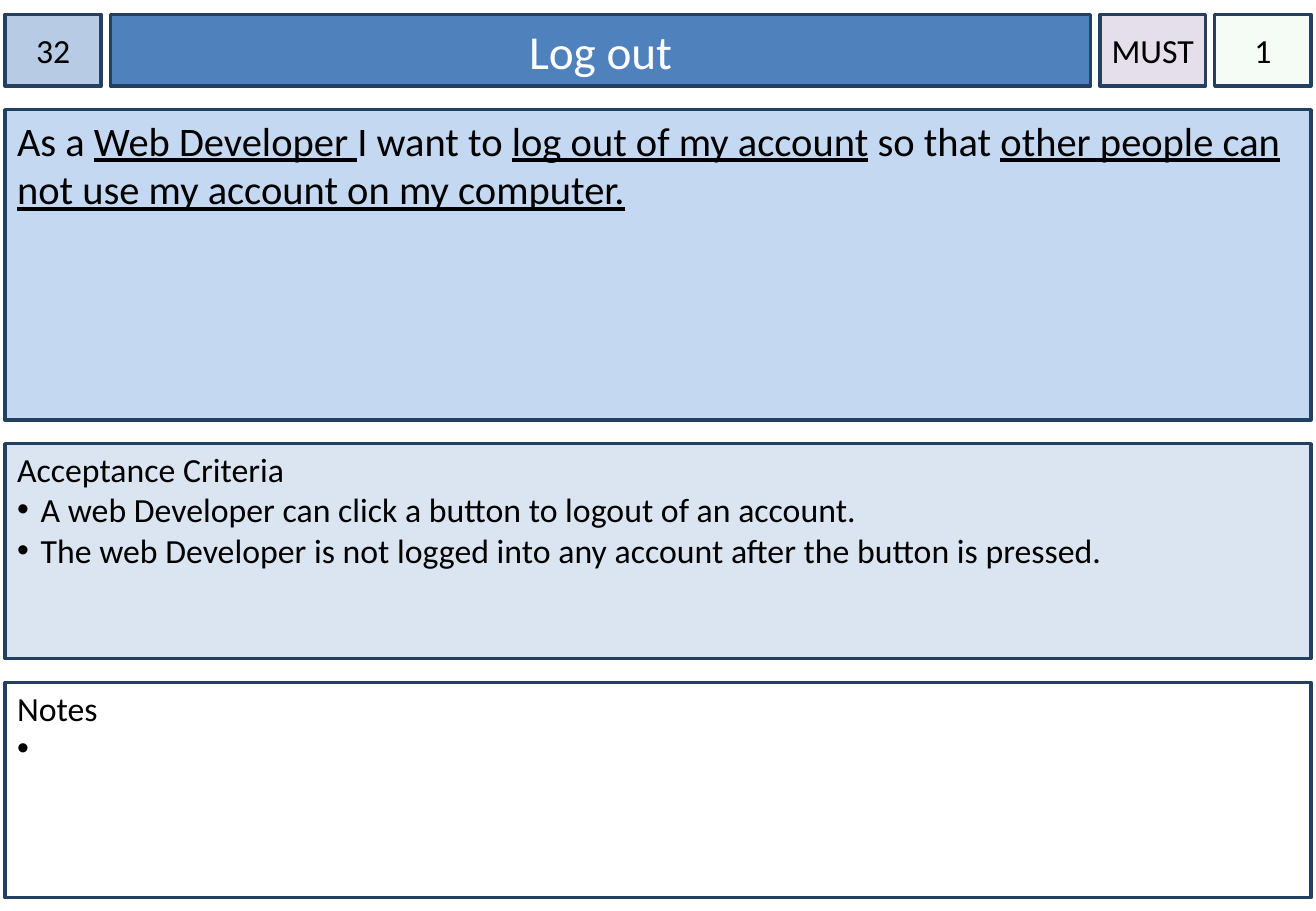
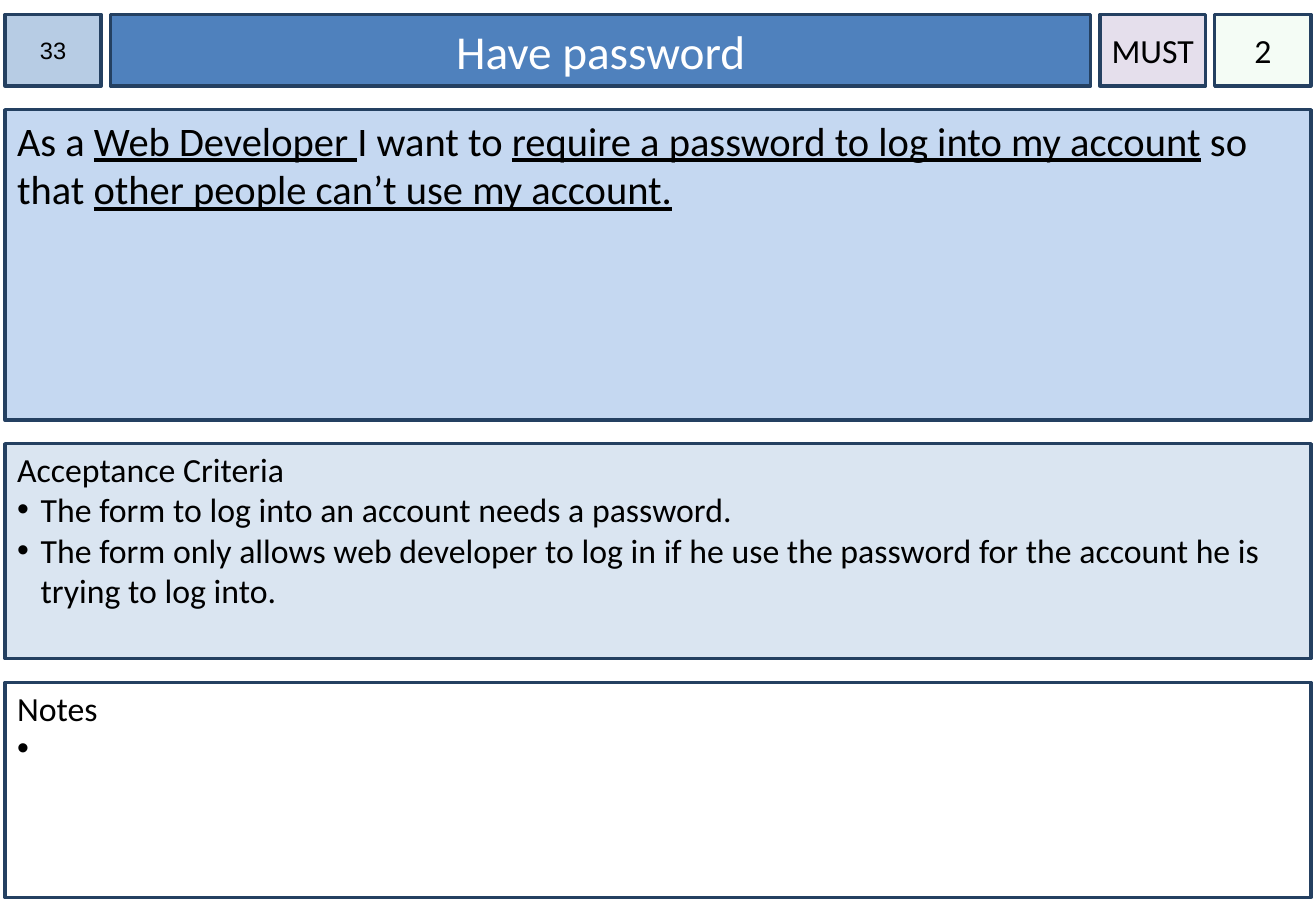
"""Build two user story cards, one per slide."""
from lxml.etree import SubElement
from pptx import Presentation
from pptx.dml.color import RGBColor
from pptx.enum.shapes import MSO_SHAPE
from pptx.enum.text import MSO_ANCHOR, MSO_AUTO_SIZE, PP_ALIGN
from pptx.oxml.ns import qn
from pptx.util import Pt

HUES = {
    "edge": "244061", "ink": "000000", "white": "FFFFFF", "id": "B7CCE4",
    "title": "4F81BD", "story": "C5D8F1", "tests": "DAE5F1",
    "rank": "E5DFEC", "size": "CCF0CD",
}
LEFT, TOP, HEAD = 3, 8.5, 42.5
WIDE, GAP, SPACE = 774, 5.5, 14
COLS = {"id": 57, "title": 581, "rank": 62.5, "size": 57}
ROWS = {"story": 184, "tests": 127.5, "notes": 127.5}
CARDS = [
    {
        "id": ("32", "Calibri", 20), "title": "Log out", "rank": "MUST", "size": "1",
        "goal": "log out of my account",
        "why": "other people can not use my account on my computer.",
        "tests": [
            "A web Developer can click a button to logout of an account.",
            "The web Developer is not logged into any account after the button is pressed.",
        ],
    },
    {
        "id": ("33", "Arial", 14), "title": "Have password", "rank": "MUST", "size": "2",
        "goal": "require a password to log into my account",
        "why": "other people can’t use my account.",
        "tests": [
            "The form to log into an account needs a password.",
            "The form only allows web developer to log in if he use the password "
            "for the account he is trying to log into.",
        ],
    },
]


def place(shape, x, y, w, h, fill, side, top=3.6):
    """Set the place, fill, outline and text margins of a box."""
    shape.left, shape.top, shape.width, shape.height = Pt(x), Pt(y), Pt(w), Pt(h)
    shape.fill.solid()
    shape.fill.fore_color.rgb = RGBColor.from_string(HUES[fill])
    shape.line.color.rgb = RGBColor.from_string(HUES["edge"])
    shape.line.width = Pt(2)
    frame = shape.text_frame
    frame.word_wrap, frame.auto_size = True, MSO_AUTO_SIZE.NONE
    frame.margin_left = frame.margin_right = Pt(side)
    frame.margin_top, frame.margin_bottom = Pt(top), Pt(3.6)
    return frame


def dress(frame, size, hue="ink", font="Calibri", align=PP_ALIGN.LEFT):
    """Format every run and align every paragraph."""
    for para in frame.paragraphs:
        para.alignment = align
        for run in para.runs:
            run.font.name, run.font.size = font, Pt(size)
            run.font.color.rgb = RGBColor.from_string(HUES[hue])


deck = Presentation()
deck.slide_width, deck.slide_height = Pt(780), Pt(540)

for card in CARDS:
    slide = deck.slides.add_slide(deck.slide_layouts[5])

    x = LEFT
    for name, width in COLS.items():
        if name == "title":
            box, side = slide.shapes.title, 7.2
            text, font, size, hue = card[name], "Calibri", 28, "white"
        else:
            box, side = slide.shapes.add_shape(MSO_SHAPE.RECTANGLE, 0, 0, 0, 0), 0
            box.shadow.inherit = False
            text, font, size = card[name] if name == "id" else (card[name], "Calibri", 20)
            hue = "ink"
        frame = place(box, x, TOP, width, HEAD, name, side)
        frame.vertical_anchor = MSO_ANCHOR.MIDDLE
        frame.text = text
        dress(frame, size, hue, font, PP_ALIGN.CENTER)
        if name == "size":
            tint = box.fill._xPr.find(qn("a:solidFill"))[0]
            SubElement(tint, qn("a:alpha"), val="20000")
        x += width + GAP

    lists = {
        "tests": ["Acceptance Criteria", *card["tests"]],
        "notes": ["Notes", " "],
    }
    y = TOP + HEAD + SPACE
    for name, height in ROWS.items():
        box = slide.shapes.add_shape(MSO_SHAPE.RECTANGLE, 0, 0, 0, 0)
        box.shadow.inherit = False
        fill = "white" if name == "notes" else name
        frame = place(box, LEFT, y, WIDE, height, fill, 7.2, 3.6 if name == "story" else 2.9)
        frame.vertical_anchor = MSO_ANCHOR.TOP
        if name == "story":
            parts = ["As a ", "Web Developer ", "I want to ", card["goal"], " so that ", card["why"]]
            for i, part in enumerate(parts):
                run = frame.paragraphs[0].add_run()
                run.text = part
                run.font.underline = i % 2 == 1
            dress(frame, 24)
        else:
            frame.text = "\n".join(lists[name])
            dress(frame, 20)
            for para in frame.paragraphs[1:]:
                props = para._p.get_or_add_pPr()
                props.set("marL", str(Pt(14)))
                props.set("indent", str(-Pt(14)))
                tint = SubElement(props, qn("a:buClr"))
                SubElement(tint, qn("a:srgbClr"), val=HUES["ink"])
                SubElement(props, qn("a:buFont"), typeface="Arial")
                SubElement(props, qn("a:buChar"), char="•")
        y += height + SPACE

deck.save("out.pptx")
